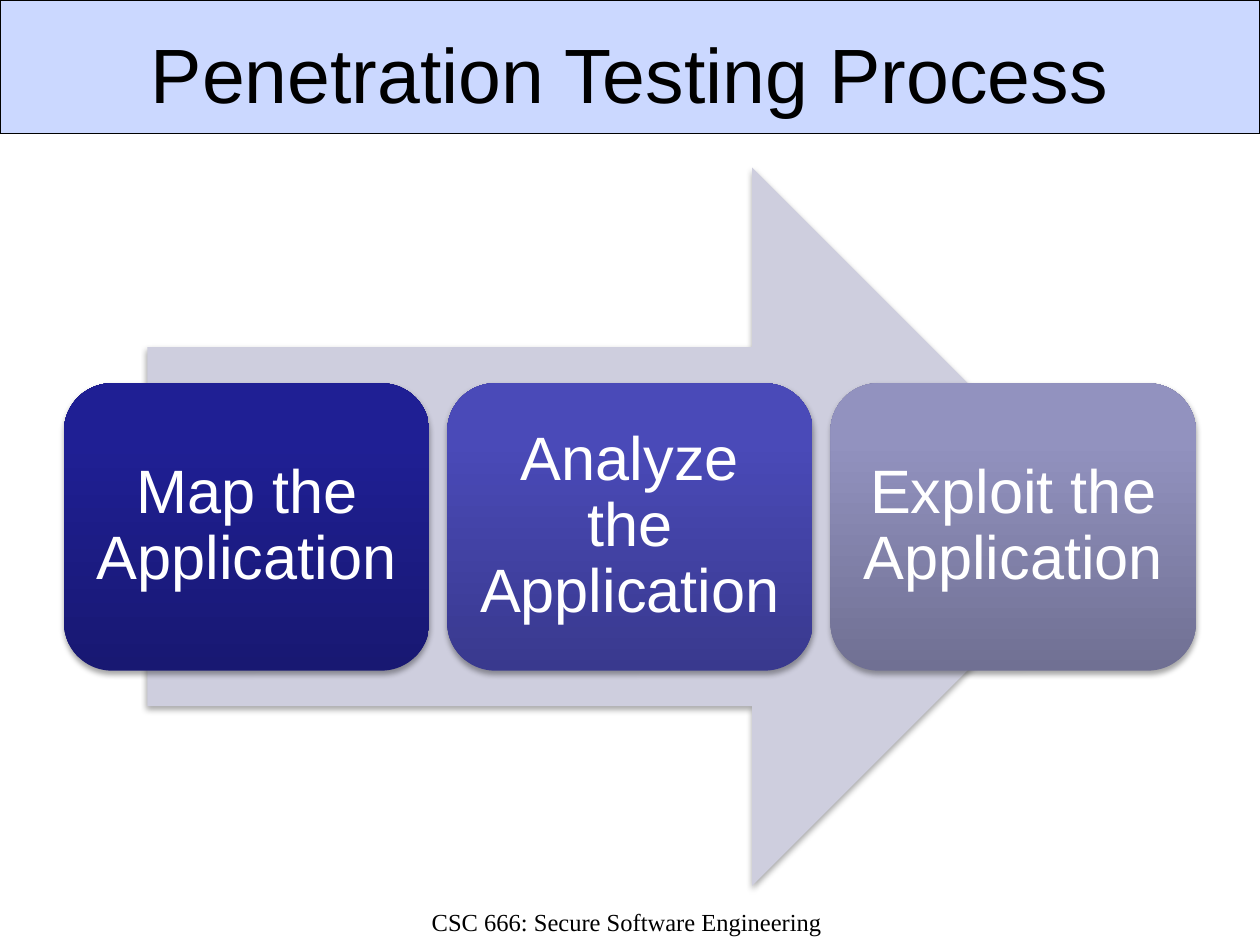
from lxml import etree
from pptx import Presentation
from pptx.dml.color import RGBColor
from pptx.enum.shapes import MSO_SHAPE
from pptx.enum.text import MSO_ANCHOR, PP_ALIGN
from pptx.oxml import parse_xml
from pptx.oxml.ns import qn
from pptx.util import Pt

RECTANGLE = MSO_SHAPE.RECTANGLE
ROUNDED = MSO_SHAPE.ROUNDED_RECTANGLE
ARROW = MSO_SHAPE.RIGHT_ARROW
TOP, MIDDLE = MSO_ANCHOR.TOP, MSO_ANCHOR.MIDDLE
CENTER = PP_ALIGN.CENTER
NAMESPACE = 'xmlns:a="http://schemas.openxmlformats.org/drawingml/2006/main"'
SHADOW = f"""<a:effectLst {NAMESPACE}>
  <a:outerShdw blurRad="{Pt(3.1)}" dist="{Pt(1.8)}" dir="5400000" rotWithShape="0">
    <a:srgbClr val="000000"><a:alpha val="35000"/></a:srgbClr>
  </a:outerShdw></a:effectLst>"""

presentation = Presentation()
presentation.slide_width, presentation.slide_height = Pt(720), Pt(540)
slide = presentation.slides.add_slide(presentation.slide_layouts[6])


def color(value):
    return RGBColor.from_string(value)


def add_text(text, left, top, width, height, size, font="Arial", fill="000000",
             anchor=MIDDLE, inset=None, line_spacing=None):
    frame = slide.shapes.add_textbox(Pt(left), Pt(top), Pt(width), Pt(height)).text_frame
    frame.word_wrap = True
    frame.vertical_anchor = anchor
    if inset is not None:
        frame.margin_left = frame.margin_right = Pt(inset)
        frame.margin_top = frame.margin_bottom = Pt(inset)
    paragraph = frame.paragraphs[0]
    paragraph.alignment = CENTER
    paragraph.line_spacing = line_spacing
    run = paragraph.add_run()
    run.text = text
    run.font.size = Pt(size)
    run.font.name = font
    run.font.color.rgb = color(fill)


# Title band with a translucent fill
band = slide.shapes.add_shape(RECTANGLE, 0, 0, Pt(720), Pt(76.3))
band.shadow.inherit = False
band.fill.solid()
band.fill.fore_color.rgb = color("3366FF")
band_color = band.fill._xPr.find(qn("a:solidFill"))[0]
etree.SubElement(band_color, qn("a:alpha")).set("val", "25000")
band.line.color.rgb = color("000000")
band.line.width = Pt(0.75)
add_text("Penetration Testing Process", 36, 12.2, 648, 59, 44)

# Arrow behind the steps
arrow = slide.shapes.add_shape(ARROW, Pt(84.2), Pt(95.8), Pt(550.8), Pt(410.4))
arrow.fill.solid()
arrow.fill.fore_color.rgb = color("CECEDE")
arrow.line.fill.background()
arrow._element.spPr.append(parse_xml(SHADOW))

# Steps: gradient colours run from bottom to top
steps = [
    ("Map the Application", "181872", "1F1F94", "1D1D97"),
    ("Analyze the Application", "39398E", "4A4AB8", "4848BB"),
    ("Exploit the Application", "707093", "9292BF", "9191C0"),
]
step_left, step_top, step_width, step_height, step_pitch = 36.6, 219, 208.8, 164.2, 219
text_margin = 8.1
for index, (label, *gradient) in enumerate(steps):
    left = step_left + index * step_pitch
    box = slide.shapes.add_shape(ROUNDED, Pt(left), Pt(step_top), Pt(step_width), Pt(step_height))
    box.line.fill.background()
    stops = "".join(
        f'<a:gs pos="{position * 1000}"><a:srgbClr val="{stop}"/></a:gs>'
        for position, stop in zip((0, 80, 100), gradient))
    properties = box._element.spPr
    properties.find(qn("a:prstGeom")).addnext(parse_xml(
        f'<a:gradFill {NAMESPACE} rotWithShape="1"><a:gsLst>{stops}</a:gsLst>'
        '<a:lin ang="16200000" scaled="0"/></a:gradFill>'))
    properties.append(parse_xml(SHADOW))
    add_text(label, left + text_margin, step_top + text_margin,
             step_width - 2 * text_margin, step_height - 2 * text_margin,
             35, fill="FFFFFF", inset=10.5, line_spacing=0.9)

# Footer
add_text("CSC 666: Secure Software Engineering", 115.9, 514.8, 484.6, 25.2, 14,
         font="Times New Roman", anchor=TOP)

presentation.save("out.pptx")
